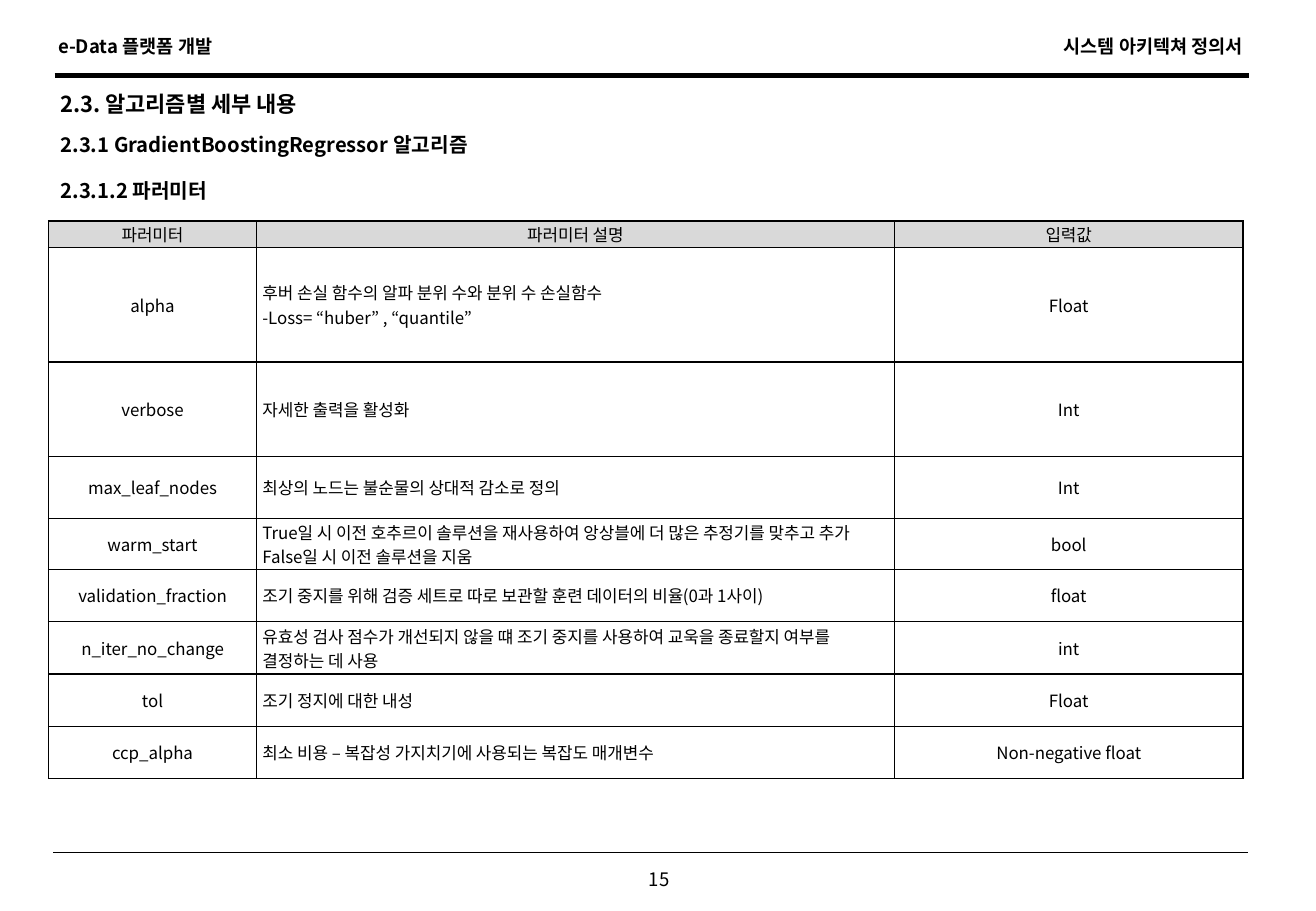
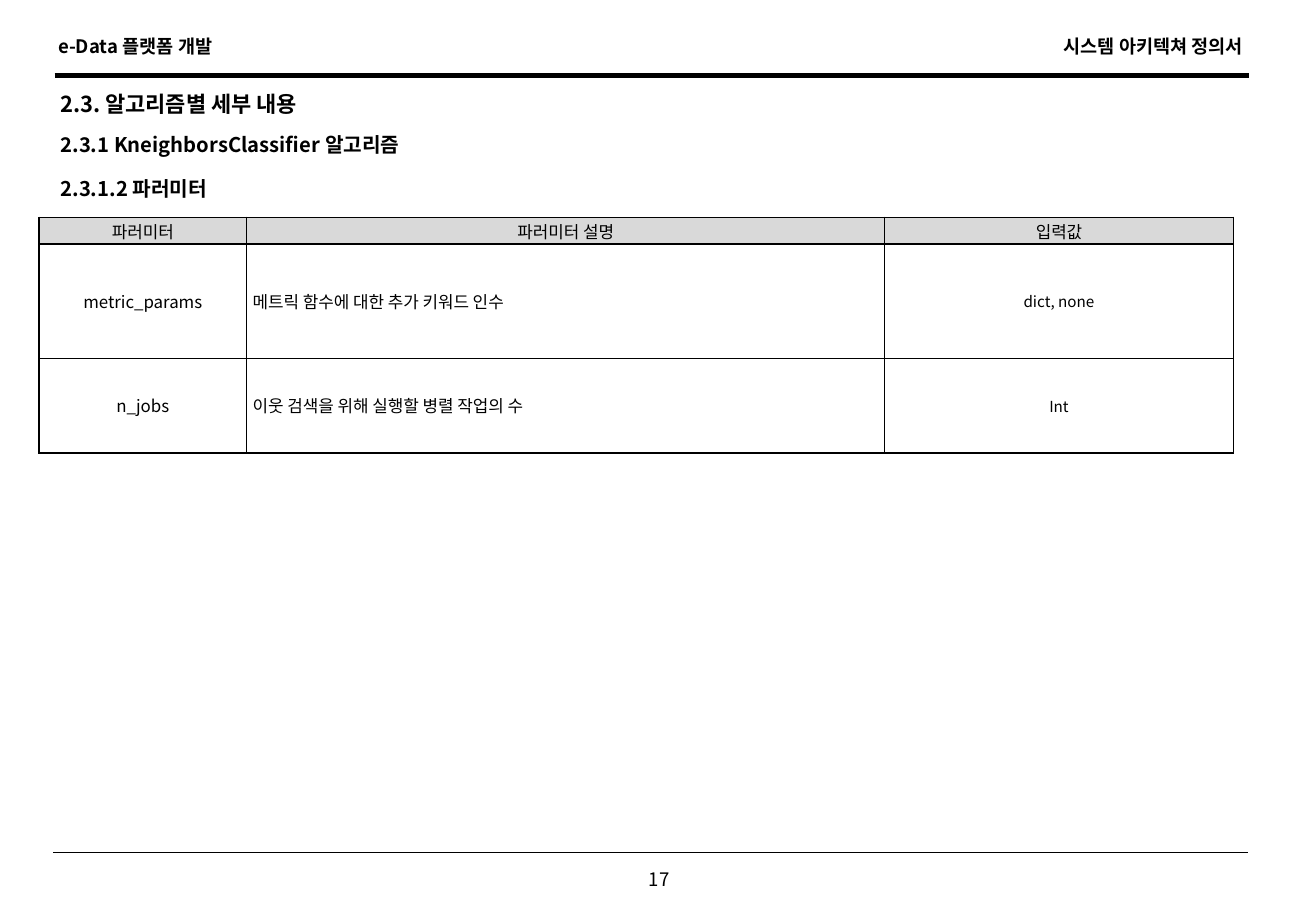
from dataclasses import dataclass

from pptx import Presentation
from pptx.dml.color import RGBColor as Rgb
from pptx.enum.shapes import MSO_CONNECTOR as Connector
from pptx.enum.text import MSO_ANCHOR as Anchor, PP_ALIGN as Align
from pptx.oxml.ns import qn
from pptx.util import Inches, Pt
from lxml.etree import SubElement


@dataclass(frozen=True)
class Theme:
    """Hold the colours, font and type sizes shared by all pages."""
    ink: str = "000000"
    header_fill: str = "D9D9D9"
    font: str = "Noto Sans CJK KR"
    band: int = 11
    section: int = 13
    heading: int = 12
    body: int = 10
    small: int = 9


THEME = Theme()
COLUMN_WIDTHS = (1.71, 5.25, 2.87)
COLUMN_TITLES = ("파러미터", "파러미터 설명", "입력값")
HEADER_HEIGHT = 0.22

PAGES = [
    dict(
        number="15",
        algorithm="GradientBoostingRegressor",
        heading_top=1.36,
        table_origin=(0.4, 1.82),
        value_size=THEME.body,
        rows=[
            (0.94, "alpha", "후버 손실 함수의 알파 분위 수와 분위 수 손실함수\n-Loss= “huber” , “quantile”", "Float"),
            (0.78, "verbose", "자세한 출력을 활성화", "Int"),
            (0.51, "max_leaf_nodes", "최상의 노드는 불순물의 상대적 감소로 정의", "Int"),
            (0.42, "warm_start", "True일 시 이전 호추르이 솔루션을 재사용하여 앙상블에 더 많은 추정기를 맞추고 추가\n"
                                 "False일 시 이전 솔루션을 지움", "bool"),
            (0.43, "validation_fraction", "조기 중지를 위해 검증 세트로 따로 보관할 훈련 데이터의 비율(0과 1사이)", "float"),
            (0.43, "n_iter_no_change", "유효성 검사 점수가 개선되지 않을 떄 조기 중지를 사용하여 "
                                       "교욱을 종료할지 여부를 결정하는 데 사용", "int"),
            (0.43, "tol", "조기 정지에 대한 내성", "Float"),
            (0.43, "ccp_alpha", "최소 비용 – 복잡성 가지치기에 사용되는 복잡도 매개변수", "Non-negative float"),
        ],
    ),
    dict(
        number="17",
        algorithm="KneighborsClassifier",
        heading_top=1.35,
        table_origin=(0.32, 1.79),
        value_size=THEME.small,
        rows=[
            (0.94, "metric_params", "메트릭 함수에 대한 추가 키워드 인수", "dict, none"),
            (0.78, "n_jobs", "이웃 검색을 위해 실행할 병렬 작업의 수", "Int"),
        ],
    ),
]


def write_text(frame, text, size=THEME.body, bold=False, align=Align.LEFT):
    """Write one paragraph per line of text in the theme font."""
    frame.word_wrap = True
    for index, line in enumerate(text.split("\n")):
        para = frame.add_paragraph() if index else frame.paragraphs[0]
        para.alignment = align
        span = para.add_run()
        span.text = line
        span.font.size = Pt(size)
        span.font.bold = bold
        span.font.color.rgb = Rgb.from_string(THEME.ink)
        span.font.name = THEME.font
        SubElement(span.font._element, qn("a:ea"), typeface=THEME.font)


def add_label(page, bounds, text, anchor=Anchor.TOP, **style):
    """Add a text box at left, top, width, height in inches."""
    box = page.shapes.add_textbox(*map(Inches, bounds))
    box.text_frame.vertical_anchor = anchor
    write_text(box.text_frame, text, **style)


def add_rule(page, left, top, width, weight):
    """Draw a horizontal rule."""
    rule = page.shapes.add_connector(
        Connector.STRAIGHT, Inches(left), Inches(top), Inches(left + width), Inches(top))
    rule.line.color.rgb = Rgb.from_string(THEME.ink)
    rule.line.width = Pt(weight)
    SubElement(rule._element.spPr, qn("a:effectLst"))


def add_bands(page, number):
    """Add the running header and the page-number footer."""
    width = sum(COLUMN_WIDTHS)
    add_label(page, (0.38, 0.24, 1.7, 0.29), "e-Data 플랫폼 개발", size=THEME.band, bold=True)
    add_label(page, (8.48, 0.24, 1.85, 0.29), "시스템 아키텍쳐 정의서",
              size=THEME.band, bold=True, align=Align.RIGHT)
    add_rule(page, 0.45, 0.62, width, 2.75)
    add_rule(page, 0.44, 7.02, width, 0.75)
    add_label(page, (5.21, 7.1, 0.43, 0.29), number, size=THEME.band, align=Align.CENTER)


def add_headings(page, algorithm, heading_top):
    """Add the three levels of section headings."""
    headings = (
        (0.65, "2.3. 알고리즘별 세부 내용", THEME.section),
        (0.98, f"2.3.1 {algorithm} 알고리즘", THEME.heading),
        (heading_top, "2.3.1.2 파러미터", THEME.heading),
    )
    for top, text, size in headings:
        add_label(page, (0.4, top, 9.75, 0.41), text, anchor=Anchor.MIDDLE, size=size, bold=True)


def border_cell(cell):
    """Give a cell a one-point border on every side."""
    properties = cell._tc.get_or_add_tcPr()
    for side in ("lnL", "lnR", "lnT", "lnB"):
        edge = SubElement(properties, qn(f"a:{side}"), w=str(Pt(1)))
        fill = SubElement(edge, qn("a:solidFill"))
        SubElement(fill, qn("a:srgbClr"), val=THEME.ink)


def fill_cell(cell, text, header=False, **style):
    """Format one table cell and write its text."""
    cell.margin_left = cell.margin_right = Inches(0.05)
    cell.margin_top = cell.margin_bottom = Inches(0)
    cell.vertical_anchor = Anchor.MIDDLE
    border_cell(cell)
    if header:
        cell.fill.solid()
        cell.fill.fore_color.rgb = Rgb.from_string(THEME.header_fill)
    else:
        cell.fill.background()
    write_text(cell.text_frame, text, **style)


def add_parameter_table(page, origin, rows, value_size):
    """Add the parameter table with its header row at the given origin."""
    lines = [(HEADER_HEIGHT, *COLUMN_TITLES), *rows]
    size = (sum(COLUMN_WIDTHS), sum(line[0] for line in lines))
    table = page.shapes.add_table(
        len(lines), len(COLUMN_WIDTHS), *map(Inches, (*origin, *size))).table
    table.first_row = table.horz_banding = False
    for column, width in zip(table.columns, COLUMN_WIDTHS):
        column.width = Inches(width)
    for row_index, (height, *texts) in enumerate(lines):
        table.rows[row_index].height = Inches(height)
        header = row_index == 0
        for column_index, text in enumerate(texts):
            description = column_index == 1 and not header
            value = column_index == 2 and not header
            fill_cell(table.cell(row_index, column_index), text, header=header,
                      size=value_size if value else THEME.body,
                      align=Align.LEFT if description else Align.CENTER)


def add_parameter_page(deck, number, algorithm, heading_top, table_origin, value_size, rows):
    """Add one page that describes an algorithm's parameters."""
    page = deck.slides.add_slide(deck.slide_layouts[6])
    add_bands(page, number)
    add_headings(page, algorithm, heading_top)
    add_parameter_table(page, table_origin, rows, value_size)


def main():
    """Build and save the deck."""
    deck = Presentation()
    deck.slide_width, deck.slide_height = Inches(10.83), Inches(7.5)
    for content in PAGES:
        add_parameter_page(deck, **content)
    deck.save("out.pptx")


if __name__ == "__main__":
    main()
